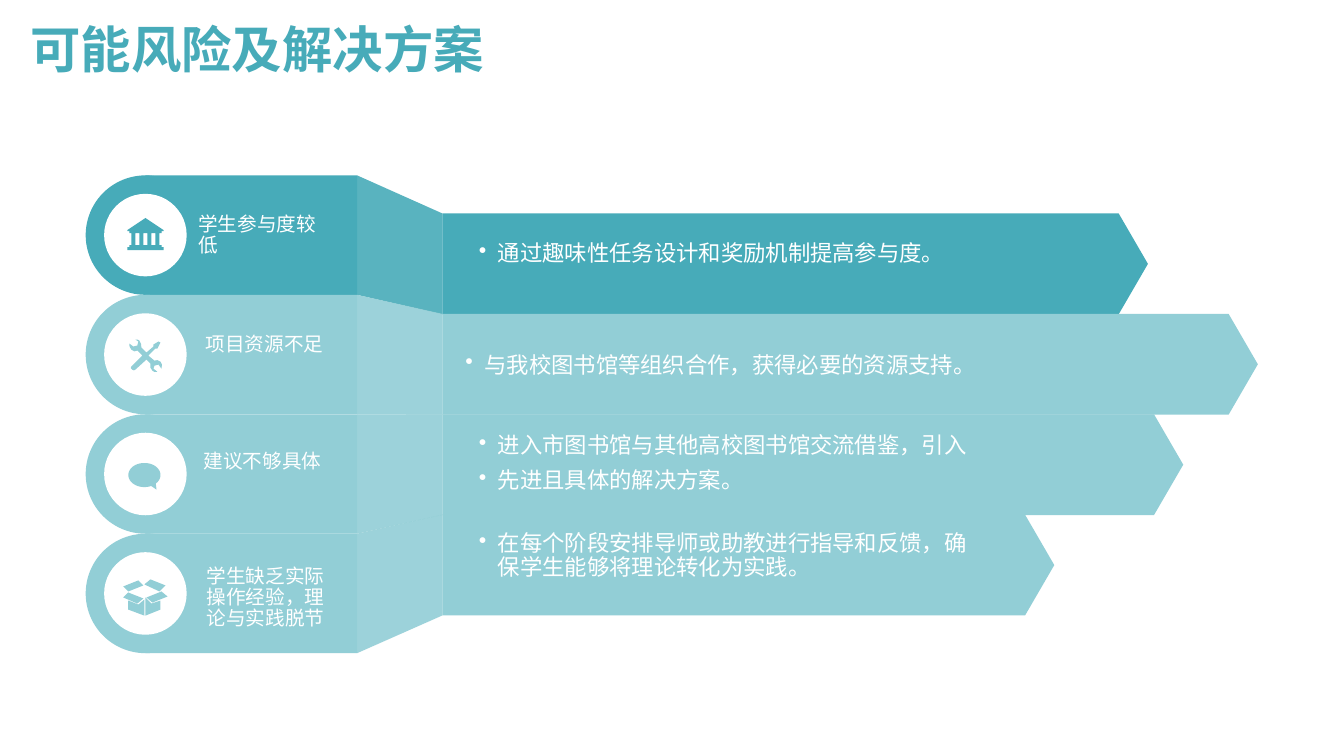
import math
from dataclasses import dataclass

import pptx
import pptx.util
import pptx.dml.color
import pptx.enum.shapes
import pptx.enum.text
import pptx.oxml
import pptx.oxml.ns
from lxml import etree

Cm, Pt = pptx.util.Cm, pptx.util.Pt
RGB = pptx.dml.color.RGBColor.from_string
SHAPE = pptx.enum.shapes.MSO_SHAPE
qn = pptx.oxml.ns.qn


@dataclass(frozen=True)
class Theme:
    dark: str = "47ABB9"
    light: str = "92CED6"
    white: str = "FFFFFF"
    title_font: str = "Montserrat"
    body_font: str = "Noto Sans CJK SC"
    title_size: int = 36
    label_size: int = 14
    body_size: int = 16
    line_spacing: float = 0.9
    space_before: float = 7.5


T = Theme()

# Icons: outlines around the centre of a disc 82 units wide
BANK_HALF = [(0, -17), (18, -5), (18, -4), (16, -4), (16, -2), (14, -2),
             (14, 10), (16, 10), (16, 12), (18, 12), (18, 15)]
BANK = [BANK_HALF + [(-x, y) for x, y in reversed(BANK_HALF[1:])]]
BANK += [[(x, -2), (x, 10), (x + 4, 10), (x + 4, -2)] for x in (-10, -2, 6)]
TOOLS = [[(15, 7), (12, 5.5), (9, 6), (3, 1), (10, -6), (12, -6), (15, -12),
          (13, -13), (8, -10), (8, -8), (1, -2), (-4, -7), (-4.3, -10.5),
          (-6, -14), (-8, -15), (-10, -15), (-7, -13), (-8, -9), (-12, -8),
          (-16, -11), (-15.7, -8), (-14, -5), (-11, -3.2), (-8, -4), (-3, 1),
          (-14, 12), (-14.5, 13.5), (-13, 15), (-11.5, 15.7), (-10, 15),
          (1, 5), (5, 9), (5, 13), (7, 16), (9, 17.3), (12, 17), (8, 14),
          (9, 11), (13, 10), (16, 14), (16.5, 10)]]
BUBBLE = [[(16 * math.cos(math.radians(a)) - 1, 12 * math.sin(math.radians(a)) + 1)
           for a in range(65, 406, 10)] + [(11, 15.5)]]
BOX = [[(-2, -8), (-7, -13), (-22, -7), (-17, -2)],
       [(0, 4), (0, 22), (15, 16), (15, 7), (6, 10)],
       [(1, 4), (7, 9), (22, 3), (16, -2)],
       [(20, -8), (5, -14), (-1, -9), (14, -2)],
       [(-17, 7), (-17, 16), (-1, 22), (-1, 6), (-7, 11)],
       [(-2, 5), (-17, -1), (-22, 4), (-8, 10)]]

# Rows: colour, icon, arrow length, label with its place, solution with its box
ROWS = [
    (T.dark, BANK, 17.78, "学生参与度较低", (5.0, 5.41),
     ["通过趣味性任务设计和奖励机制提高参与度。"], (12.07, 6.1, 15.54)),
    (T.light, TOOLS, 20.55, "项目资源不足", (5.18, 8.43),
     ["与我校图书馆等组织合作，获得必要的资源支持。"], (11.73, 8.92, 19.33)),
    (T.light, BUBBLE, 18.67, "建议不够具体", (5.13, 11.38),
     ["进入市图书馆与其他高校图书馆交流借鉴，引入", "先进且具体的解决方案。"],
     (12.07, 10.95, 19.33)),
    (T.light, BOX, 15.42, "学生缺乏实际操作经验，理论与实践脱节", (5.21, 14.27),
     ["在每个阶段安排导师或助教进行指导和反馈，确保学生能够将理论转化为实践。"],
     (12.07, 13.41, 12.73)),
]
TAB_LEFT, TAB_TOP, TAB_H, TAB_RIGHT = 2.16, 4.42, 3.01, 9.0
ARROW_LEFT, ARROW_TOP, ARROW_H, ARROW_STEP = 11.15, 5.38, 2.54, 2.53
DISC = 2.08


def set_attrs(obj, values):
    for name, value in values.items():
        setattr(obj, name, value)


def paint(shape, color, opacity=100):
    shape.shadow.inherit = False
    shape.fill.solid()
    shape.fill.fore_color.rgb = RGB(color)
    shape.line.fill.background()
    if opacity < 100:
        clr = shape.fill._xPr.find(qn("a:solidFill"))[0]
        etree.SubElement(clr, qn("a:alpha"), val=str(opacity * 1000))


def add_preset(s, kind, x, y, w, h, color):
    shape = s.shapes.add_shape(kind, Cm(x), Cm(y), Cm(w), Cm(h))
    paint(shape, color)
    return shape


def add_outline(s, contours, color, opacity=100):
    points = [[(Cm(x), Cm(y)) for x, y in c] for c in contours]
    builder = s.shapes.build_freeform(*points[0][0])
    builder.add_line_segments(points[0][1:], close=True)
    for c in points[1:]:
        builder.move_to(*c[0])
        builder.add_line_segments(c[1:], close=True)
    paint(builder.convert_to_shape(), color, opacity)


def fill_text(tf, lines, size, color, font, bold=False, bullet=False):
    for i, line in enumerate(lines):
        p = tf.add_paragraph() if i else tf.paragraphs[0]
        if bullet:
            pPr = p._p.get_or_add_pPr()
            pPr.set("marL", str(Cm(0.48)))
            pPr.set("indent", str(-Cm(0.48)))
            etree.SubElement(pPr, qn("a:buChar"), char="•")
        set_attrs(p, {"alignment": pptx.enum.text.PP_ALIGN.LEFT,
                      "line_spacing": T.line_spacing,
                      "space_before": Pt(T.space_before if i else 0)})
        r = p.add_run()
        r.text = line
        set_attrs(r.font, {"size": Pt(size), "bold": bold, "name": font})
        r.font.color.rgb = RGB(color)
        ea = etree.Element(qn("a:ea"), typeface=T.body_font)
        r.font._rPr.find(qn("a:latin")).addnext(ea)


def add_text(s, x, y, w, h, lines, size, bullet=False):
    tf = s.shapes.add_textbox(Cm(x), Cm(y), Cm(w), Cm(h)).text_frame
    set_attrs(tf, {"word_wrap": True, "margin_left": 0, "margin_right": 0,
                   "margin_top": 0, "margin_bottom": 0})
    fill_text(tf, lines, size, T.white, T.body_font, bullet=bullet)


def add_title(s, text, x, y, w, h):
    title = s.shapes.title
    set_attrs(title, {"left": Cm(x), "top": Cm(y), "width": Cm(w), "height": Cm(h)})
    set_attrs(title.text_frame, {
        "word_wrap": True, "auto_size": pptx.enum.text.MSO_AUTO_SIZE.NONE,
        "vertical_anchor": pptx.enum.text.MSO_ANCHOR.MIDDLE})
    fill_text(title.text_frame, [text], T.title_size, T.dark, T.title_font, bold=True)


def add_band(s, tab_y, arrow_y, length, color):
    """Solution arrow, rounded risk tab and the fold that joins them."""
    arrow = add_preset(s, SHAPE.PENTAGON, ARROW_LEFT, arrow_y, length, ARROW_H, color)
    arrow.adjustments[0] = 0.29
    middle = TAB_LEFT + TAB_H / 2
    add_preset(s, SHAPE.RECTANGLE, middle, tab_y, TAB_RIGHT - middle, TAB_H, color)
    add_outline(s, [[(ARROW_LEFT, arrow_y), (ARROW_LEFT, arrow_y + ARROW_H),
                     (TAB_RIGHT, tab_y + TAB_H), (TAB_RIGHT, tab_y)]], color, 90)
    add_preset(s, SHAPE.OVAL, TAB_LEFT, tab_y, TAB_H, TAB_H, color)


def add_icon(s, tab_y, icon, color):
    """White disc centred in the round end of the tab, with its icon."""
    cx, cy = TAB_LEFT + TAB_H / 2, tab_y + TAB_H / 2
    add_preset(s, SHAPE.OVAL, cx - DISC / 2, cy - DISC / 2, DISC, DISC, T.white)
    unit = DISC / 82
    add_outline(s, [[(cx + x * unit, cy + y * unit) for x, y in c] for c in icon], color)


def main():
    prs = pptx.Presentation()
    prs.slide_width, prs.slide_height = Cm(33.87), Cm(19.05)
    s = prs.slides.add_slide(prs.slide_layouts[5])
    add_title(s, "可能风险及解决方案", 0.51, 0.51, 29.21, 1.63)

    # Bands first, so that the text lies above all of them
    for i, (color, icon, length, *_) in enumerate(ROWS):
        tab_y = TAB_TOP + i * TAB_H
        add_band(s, tab_y, ARROW_TOP + i * ARROW_STEP, length, color)
        add_icon(s, tab_y, icon, color)

    # Risks and their solutions
    for _, _, _, risk, (x, y), solution, (bx, by, bw) in ROWS:
        add_text(s, x, y, 3.25, 1.17, [risk], T.label_size)
        add_text(s, bx, by, bw, 2.06, solution, T.body_size, bullet=True)

    prs.save("out.pptx")


if __name__ == "__main__":
    main()
